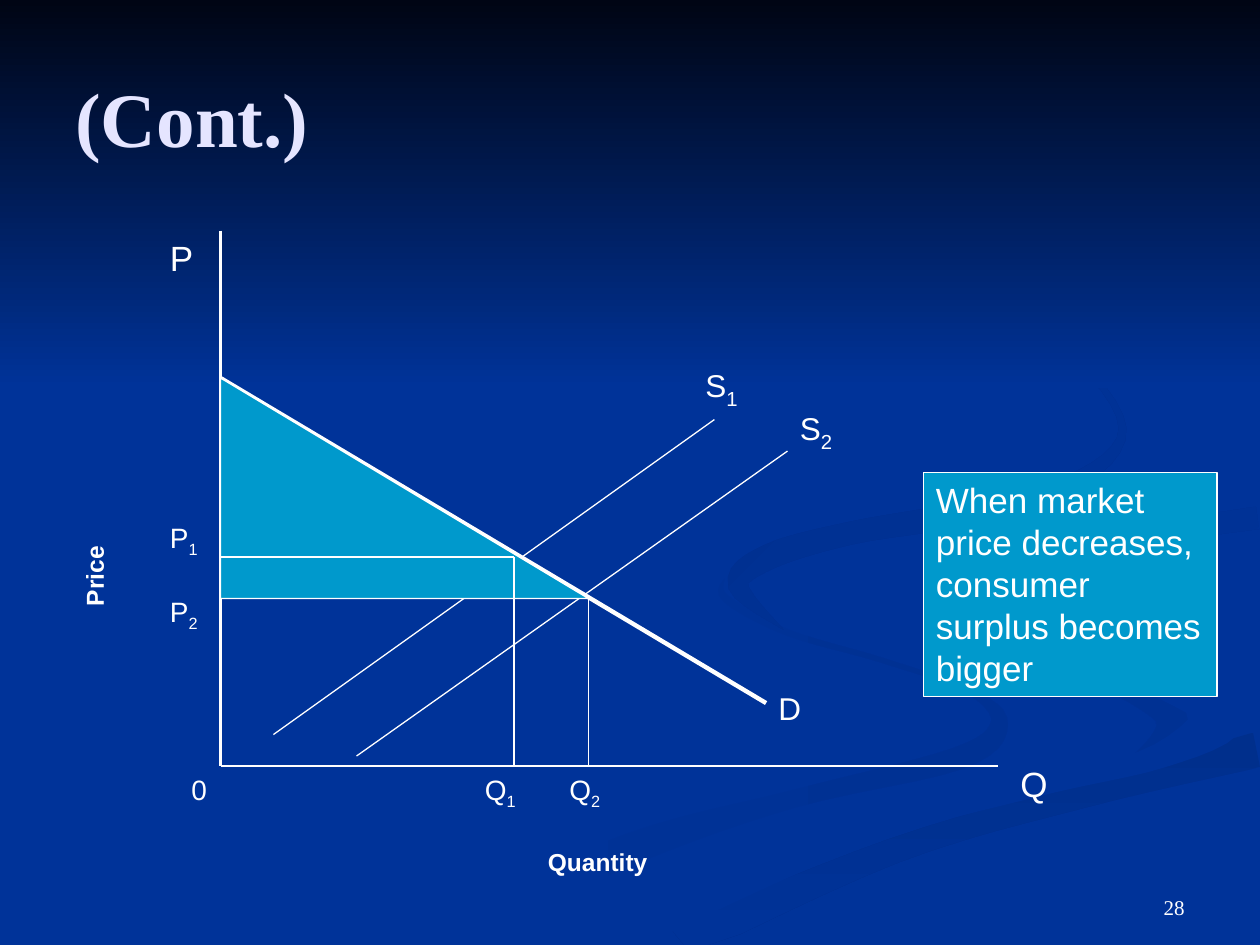
import math

import pptx
import pptx.dml.color
import pptx.enum.shapes
import pptx.enum.text
import pptx.oxml.ns
import pptx.util
from lxml import etree

Inches = pptx.util.Inches
Align = pptx.enum.text.PP_ALIGN
Anchor = pptx.enum.text.MSO_ANCHOR

WIDTH, HEIGHT = 10, 7.5
WHITE, NAVY, CYAN = "FFFFFF", "003399", "0099CC"
SERIF = "Times New Roman"
RIGHTWARD, DIAGONAL, DOWNWARD = 0, 315, 270

AXIS_X, AXIS_Y = 1.75, 6.08
AXIS_TOP, AXIS_END = 1.83, 7.92
CHOKE_PRICE = 3
EQUILIBRIA = [("1", 4.08, 4.42), ("2", 4.67, 4.75)]
SUPPLY = [("1", (2.17, 5.83), (5.67, 3.33)), ("2", (2.83, 6), (6.25, 3.58))]
SUPPLY_LABELS = {"1": (5.5, 2.83), "2": (6.25, 3.17)}
PRICE_LABEL_TOPS = {"1": 4.08, "2": 4.67}
QUANTITY_LABEL_LEFTS = {"1": 3.75, "2": 4.42}

# Each ribbon: centre x, centre y, thickness; then gradient colours and angle.
LOWER_LOOP = [(5.75, 4.59, 0), (5.76, 4.75, 0.06), (6.25, 5.02, 0.05),
              (7, 5.24, 0.04), (7.7, 5.49, 0.05), (7.93, 5.75, 0.14),
              (7.6, 6.02, 0.18), (6.3, 6.34, 0.14), (5, 6.74, 0.25),
              (3.3, 7.49, 0.28)]
MIDDLE_LOOP = [(7.24, 4.64, 0), (7.4, 4.9, 0.06), (7.95, 5.16, 0.12),
               (8.7, 5.37, 0.14), (9.2, 5.6, 0.22), (9.3, 5.75, 0.25),
               (9.2, 5.9, 0.18), (8.94, 6.05, 0)]
LOWER_BAND = [(5.37, 7.49, 0.3), (7.1, 6.75, 0.2), (8.6, 6.31, 0.2),
              (9.98, 5.95, 0.28)]
WIDE_BAND = [(9.99, 3.95, 0.15), (8.7, 4.16, 0.16), (7.75, 4.4, 0.3),
             (7.53, 4.65, 0.54), (7.75, 4.9, 0.4), (8.5, 5.14, 0.22),
             (9.3, 5.4, 0.35), (9.7, 5.65, 0.42), (9.2, 6, 0.2),
             (8.2, 6.27, 0.12), (6.8, 6.68, 0.1), (4.9, 7.49, 0.2)]
RIGHT_HOOK = [(9.98, 4.11, 0.18), (9, 4.26, 0.16), (8.2, 4.46, 0.16),
              (7.93, 4.67, 0.24), (8.26, 4.96, 0)]
UPPER_LOOP = [(7.62, 2.33, 0), (8.45, 2.77, 0.04), (8.91, 3.4, 0.06),
              (8.5, 3.84, 0.14), (7.63, 4.08, 0.19), (6.76, 4.23, 0.18),
              (6.1, 4.42, 0.2), (5.86, 4.65, 0.16), (6.22, 5, 0)]
RIBBONS = [
    (LOWER_LOOP, [NAVY, "003193"], RIGHTWARD),
    (MIDDLE_LOOP, [NAVY, "003193"], DIAGONAL),
    (LOWER_BAND, ["002F8C", NAVY], DOWNWARD),
    (WIDE_BAND, [NAVY], RIGHTWARD),
    (RIGHT_HOOK, ["003091", NAVY], DIAGONAL),
    (UPPER_LOOP, ["002F8E", NAVY], DIAGONAL),
]


def rgb(value):
    return pptx.dml.color.RGBColor.from_string(value)


def spline(knots, steps=6):
    padded = [knots[0], *knots, knots[-1]]
    curve = []
    for a, b, c, d in zip(padded, padded[1:], padded[2:], padded[3:]):
        for t in (i / steps for i in range(steps)):
            curve.append([
                q + t / 2 * (r - p + t * (2 * p - 5 * q + 4 * r - s
                                          + t * (3 * q - p - 3 * r + s)))
                for p, q, r, s in zip(a, b, c, d)])
    return curve + [knots[-1]]


def ribbon_edge(knots):
    curve = spline(knots)
    sides = [], []
    for i, (x, y, thickness) in enumerate(curve):
        before, after = curve[max(i - 1, 0)], curve[min(i + 1, len(curve) - 1)]
        angle = math.atan2(after[1] - before[1], after[0] - before[0])
        for side, half in zip(sides, (thickness / 2, -thickness / 2)):
            side.append((min(x - half * math.sin(angle), WIDTH),
                         min(y + half * math.cos(angle), HEIGHT)))
    return sides[0] + sides[1][::-1]


def write(tf, text, size=20, font="Arial", color=WHITE, bold=False,
          align=Align.LEFT, sub_size=None):
    p = tf.paragraphs[0]
    p.alignment = align
    for i, part in enumerate(text.split("_")):
        r = p.add_run()
        r.text = part
        r.font.name, r.font.bold = font, bold
        r.font.size = pptx.util.Pt(sub_size if i and sub_size else size)
        r.font.color.rgb = rgb(color)
        if i:
            r._r.get_or_add_rPr().set("baseline", "-25000")


class Deck:
    def __init__(self):
        self.prs = pptx.Presentation()
        self.prs.slide_width = Inches(WIDTH)
        self.prs.slide_height = Inches(HEIGHT)
        self.s = self.prs.slides.add_slide(self.prs.slide_layouts[6])
        fill = self.s.background.fill
        fill.solid()
        fill.fore_color.rgb = rgb(NAVY)

    def text(self, text, x, y, w, h, anchor=Anchor.TOP, grow=True, **style):
        sp = self.s.shapes.add_textbox(*map(Inches, (x, y, w, h)))
        tf = sp.text_frame
        tf.word_wrap = True
        tf.vertical_anchor = anchor
        if grow:
            tf.auto_size = pptx.enum.text.MSO_AUTO_SIZE.SHAPE_TO_FIT_TEXT
        write(tf, text, **style)
        return sp

    def rect(self, x, y, w, h, colors, angle=0, outline=False, text=""):
        kind = pptx.enum.shapes.MSO_SHAPE.RECTANGLE
        sp = self.s.shapes.add_shape(kind, *map(Inches, (x, y, w, h)))
        self.paint(sp, colors, angle, outline)
        if text:
            sp.text_frame.word_wrap = True
            sp.text_frame.vertical_anchor = Anchor.TOP
            write(sp.text_frame, text)

    def line(self, start, end, width=0.75):
        kind = pptx.enum.shapes.MSO_CONNECTOR.STRAIGHT
        sp = self.s.shapes.add_connector(kind, *map(Inches, start + end))
        sp.line.color.rgb = rgb(WHITE)
        sp.line.width = pptx.util.Pt(width)
        etree.SubElement(sp._element.spPr, pptx.oxml.ns.qn("a:effectLst"))

    def area(self, points, colors, angle=0, outline=False):
        start, *rest = [tuple(map(Inches, point)) for point in points]
        builder = self.s.shapes.build_freeform(*start)
        builder.add_line_segments(rest, close=True)
        self.paint(builder.convert_to_shape(), colors, angle, outline)

    def paint(self, sp, colors, angle, outline):
        sp.shadow.inherit = False
        if len(colors) == 1:
            sp.fill.solid()
            sp.fill.fore_color.rgb = rgb(colors[0])
        else:
            sp.fill.gradient()
            sp.fill.gradient_angle = angle
            for i, color in enumerate(colors):
                stop = sp.fill.gradient_stops[i]
                stop.position, stop.color.rgb = i, rgb(color)
        if outline:
            sp.line.color.rgb = rgb(WHITE)
            sp.line.width = pptx.util.Pt(0.75)
        else:
            sp.line.fill.background()


def draw_background(deck):
    for knots, colors, angle in RIBBONS:
        deck.area(ribbon_edge(knots), colors, angle)
    deck.rect(0, 0, WIDTH, 3.08, ["000514", NAVY], DOWNWARD)


def draw_curves(deck):
    origin = (AXIS_X, AXIS_Y)
    deck.line((AXIS_X, AXIS_TOP), origin, 1.5)
    deck.line(origin, (AXIS_END, AXIS_Y), 1.5)
    deck.line((AXIS_X, CHOKE_PRICE), (6.08, 5.58), 2.5)
    for n, start, end in SUPPLY:
        deck.line(start, end)
        deck.text(f"S_{n}", *SUPPLY_LABELS[n], 0.5, 0.4, size=18, sub_size=20)
    for n, quantity, price in EQUILIBRIA:
        deck.area([(AXIS_X, CHOKE_PRICE), (AXIS_X, price), (quantity, price)],
                  [CYAN], outline=True)
    for n, quantity, price in EQUILIBRIA:
        deck.line((AXIS_X, price), (quantity, price))
        deck.line((quantity, price), (quantity, AXIS_Y))
        deck.text(f"P_{n}", 1.25, PRICE_LABEL_TOPS[n], 0.5, 0.37, size=16)
        deck.text(f"Q_{n}", QUANTITY_LABEL_LEFTS[n], AXIS_Y, 0.5, 0.37, size=16)


def draw_labels(deck):
    deck.text("P", 1.25, AXIS_TOP, 0.5, 0.43)
    deck.text("Q", 8, 6, 0.5, 0.43)
    deck.text("0", 1.42, AXIS_Y, 0.33, 0.37, size=16)
    deck.text("D", 6.08, 5.42, 0.5, 0.4, size=18)
    deck.text("Quantity", 4.25, 6.67, 1.42, 0.33, size=14, bold=True)
    sp = deck.text("Price", 0.58, 3.33, 0.43, 1.58, size=14, bold=True,
                   align=Align.CENTER)
    sp.rotation = 180
    sp.text_frame._txBody.bodyPr.set("vert", "eaVert")


def main():
    deck = Deck()
    draw_background(deck)
    deck.text("(Cont.)", 0.5, 0.3, 9, 1.25, Anchor.MIDDLE, grow=False,
              size=44, font=SERIF, color="E5E5FF", bold=True)
    draw_curves(deck)
    draw_labels(deck)
    deck.rect(7.33, 3.75, 2.33, 1.78, [CYAN], outline=True,
              text="When market price decreases, consumer surplus becomes bigger")
    deck.text("28", 7.17, 6.83, 2.33, 0.52, Anchor.BOTTOM, grow=False,
              size=12, font=SERIF, align=Align.RIGHT)
    deck.prs.save("out.pptx")


if __name__ == "__main__":
    main()
